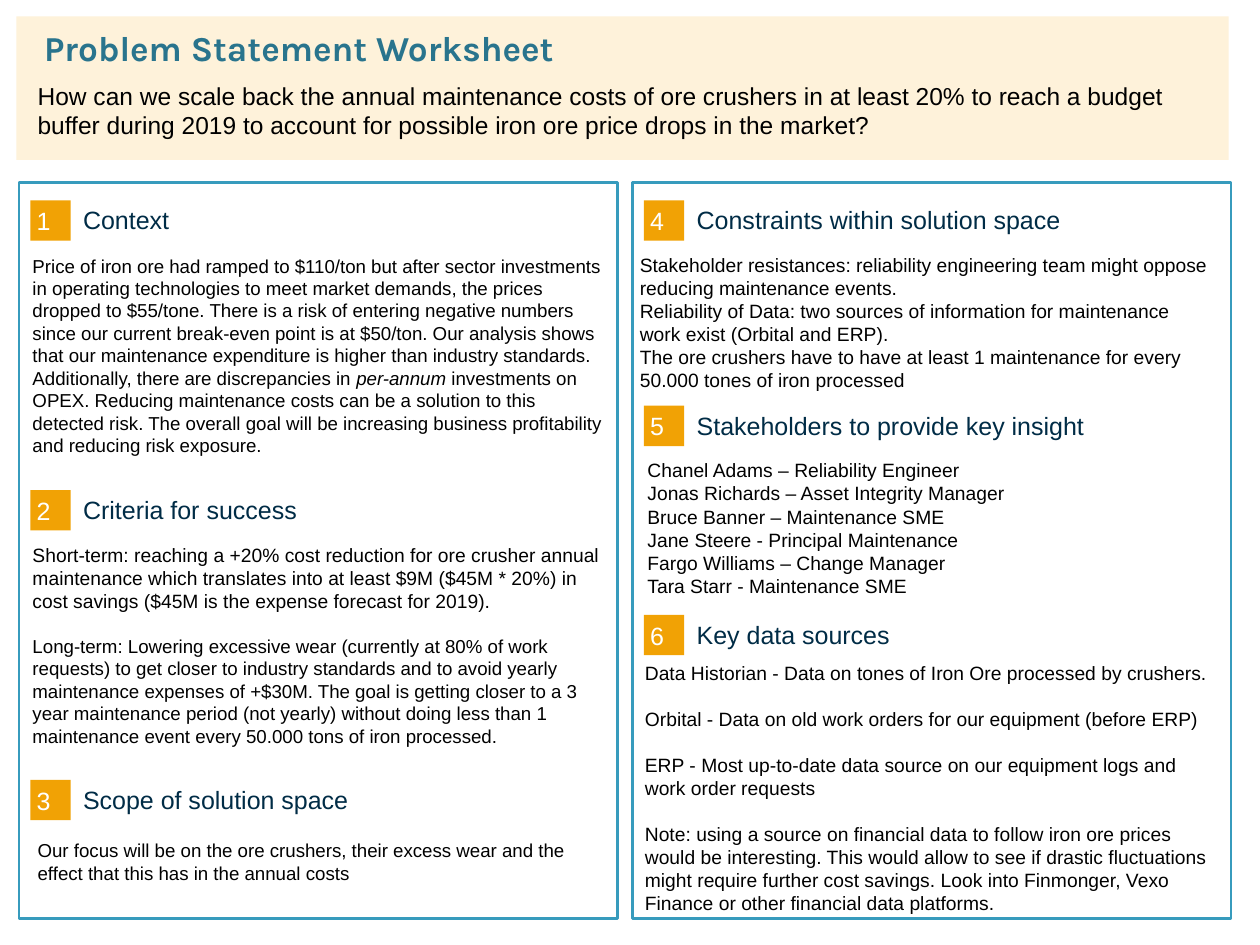
"""Builds the problem statement worksheet slide."""
from pptx import Presentation
from pptx.dml.color import RGBColor
from pptx.enum.shapes import MSO_SHAPE
from pptx.enum.text import MSO_ANCHOR, MSO_AUTO_SIZE, PP_ALIGN
from pptx.util import Inches, Pt

RECT, CALLOUT = MSO_SHAPE.RECTANGLE, MSO_SHAPE.RECTANGULAR_CALLOUT
TOP, MIDDLE = MSO_ANCHOR.TOP, MSO_ANCHOR.MIDDLE
LEFT, NO_FIT = PP_ALIGN.LEFT, MSO_AUTO_SIZE.NONE

COLORS = {"panel": "FFFFFF", "border": "379BBD", "badge": "F1A205", "number": "FFFFFF",
          "heading": "002C46", "body": "000000", "banner": "FEF2DA", "title": "29748D"}
TITLE = "Problem Statement Worksheet"
QUESTION = ("How can we scale back the annual maintenance costs of ore crushers in at least 20% "
            "to reach a budget buffer during 2019 to account for possible iron ore price drops "
            "in the market?")
CONTEXT = (
    "Price of iron ore had ramped to $110/ton but after sector investments in operating "
    "technologies to meet market demands, the prices dropped to $55/tone. There is a risk of "
    "entering negative numbers since our current break-even point is at $50/ton. Our analysis "
    "shows that our maintenance expenditure is higher than industry standards. Additionally, "
    "there are discrepancies in *per-annum* investments on OPEX. Reducing maintenance costs can "
    "be a solution to this detected risk. The overall goal will be increasing business "
    "profitability and reducing risk exposure.")
SHORT_TERM = (
    "Short-term: reaching a +20% cost reduction for ore crusher annual maintenance which "
    "translates into at least $9M ($45M \u2217 20%) in cost savings ($45M is the expense "
    "forecast for 2019).").replace("\u2217", "{times}")
LONG_TERM = (
    "Long-term: Lowering excessive wear (currently at 80% of work requests) to get closer to "
    "industry standards and to avoid yearly maintenance expenses of +$30M. The goal is getting "
    "closer to a 3 year maintenance period (not yearly) without doing less than 1 maintenance "
    "event every 50.000 tons of iron processed.")
SCOPE = ("Our focus will be on the ore crushers, their excess wear and the effect that this "
         "has in the annual costs")
CONSTRAINTS = [
    "Stakeholder resistances: reliability engineering team might oppose reducing maintenance "
    "events.",
    "Reliability of Data: two sources of information for maintenance work exist (Orbital and "
    "ERP).",
    "The ore crushers have to have at least 1 maintenance for every 50.000 tones of iron "
    "processed"]
STAKEHOLDERS = [
    "Chanel Adams – Reliability Engineer", "Jonas Richards – Asset Integrity Manager",
    "Bruce Banner – Maintenance SME", "Jane Steere - Principal Maintenance",
    "Fargo Williams – Change Manager", "Tara Starr - Maintenance SME"]
SOURCES = [
    "Data Historian - Data on tones of Iron Ore processed by crushers.",
    "Orbital - Data on old work orders for our equipment (before ERP)",
    "ERP - Most up-to-date data source on our equipment logs and work order requests",
    "Note: using a source on financial data to follow iron ore prices would be interesting. "
    "This would allow to see if drastic fluctuations might require further cost savings. Look "
    "into Finmonger, Vexo Finance or other financial data platforms."]

PANEL_TOP, PANEL_W, PANEL_H = 1.45, 4.75, 5.84
BADGE = 0.32
# panel left: (heading, badge top, body box, paragraph sizes, gap, paragraphs)
PANELS = {
    0.15: [("Context", 1.59, (0.16, 1.97, 4.73, 1.64), [10.7], 0, [CONTEXT]),
           ("Criteria for success", 3.89, (0.16, 4.26, 4.73, 1.54), [11, 10.7], 12.8,
            [SHORT_TERM, LONG_TERM]),
           ("Scope of solution space", 6.19, (0.2, 6.61, 4.39, 0.49), [10.7], 0, [SCOPE])],
    5.02: [("Constraints within solution space", 1.59, (4.98, 1.96, 4.73, 1.18), [11] * 3, 0,
            CONSTRAINTS),
           ("Stakeholders to provide key insight", 3.22, (5.04, 3.59, 4.73, 1.18), [11] * 6, 0,
            STAKEHOLDERS),
           ("Key data sources", 4.88, (5.02, 5.2, 4.73, 1.91), [11] * 4, 13, SOURCES)]}


def color(name):
    return RGBColor.from_string(COLORS[name])


def write(shape, paragraphs, sizes, ink, insets=(0, 0), anchor=TOP, gap=0, font="Arial"):
    frame = shape.text_frame
    frame.word_wrap, frame.auto_size, frame.vertical_anchor = True, NO_FIT, anchor
    frame.margin_left = frame.margin_right = Inches(insets[0])
    frame.margin_top = frame.margin_bottom = Inches(insets[1])
    for index, (words, size) in enumerate(zip(paragraphs, sizes)):
        paragraph = frame.add_paragraph() if index else frame.paragraphs[0]
        paragraph.alignment = LEFT
        paragraph.space_before = Pt(gap if index else 0)
        paragraph.font.size, paragraph.font.name = Pt(size), font
        paragraph.font.color.rgb = color(ink)
        for turn, piece in enumerate(words.split("*")):
            run = paragraph.add_run()
            run.text = piece.replace("{times}", "*")
            if turn % 2:
                run.font.italic = True


def add_box(kind, box, fill, border=None):
    shape = slide.shapes.add_shape(kind, *map(Inches, box))
    shape.shadow.inherit = False
    shape.fill.solid()
    shape.fill.fore_color.rgb = color(fill)
    if border:
        shape.line.color.rgb, shape.line.width = color(border), Pt(1.5)
    else:
        shape.line.fill.background()
    return shape


def add_text(box, *args, **options):
    write(slide.shapes.add_textbox(*map(Inches, box)), *args, **options)


deck = Presentation()
deck.slide_width, deck.slide_height = Inches(10), Inches(7.5)
slide = deck.slides.add_slide(deck.slide_layouts[5])

number = 0
for left, sections in PANELS.items():
    add_box(RECT, (left, PANEL_TOP, PANEL_W, PANEL_H), "panel", "border")
    for heading, top, body, sizes, gap, paragraphs in sections:
        number += 1
        badge = add_box(RECT, (left + 0.09, top, BADGE, BADGE), "badge")
        write(badge, [str(number)], [14.3], "number", (0.05, 0.05), MIDDLE)
        add_text((left + 0.51, top + 0.03, 3.93, 0.25), [heading], [14.3], "heading",
                 anchor=MIDDLE)
        add_text(body, paragraphs, sizes, "body", (0.1, 0.05), gap=gap)

banner = add_box(CALLOUT, (0.13, 0.13, 9.62, 1.14), "banner")
banner.adjustments[0], banner.adjustments[1] = 0.5, -0.44

title = slide.shapes.title
title.left, title.top, title.width, title.height = map(Inches, (0.35, 0.21, 9.4, 0.34))
write(title, [TITLE], [20], "title", anchor=MIDDLE, font="Karla")
title.text_frame.paragraphs[0].font.bold = True
banner._element.addnext(title._element)

add_text((0.2, 0.59, 9.15, 0.54), [QUESTION], [14], "body", (0.1, 0.05))
deck.save("out.pptx")
